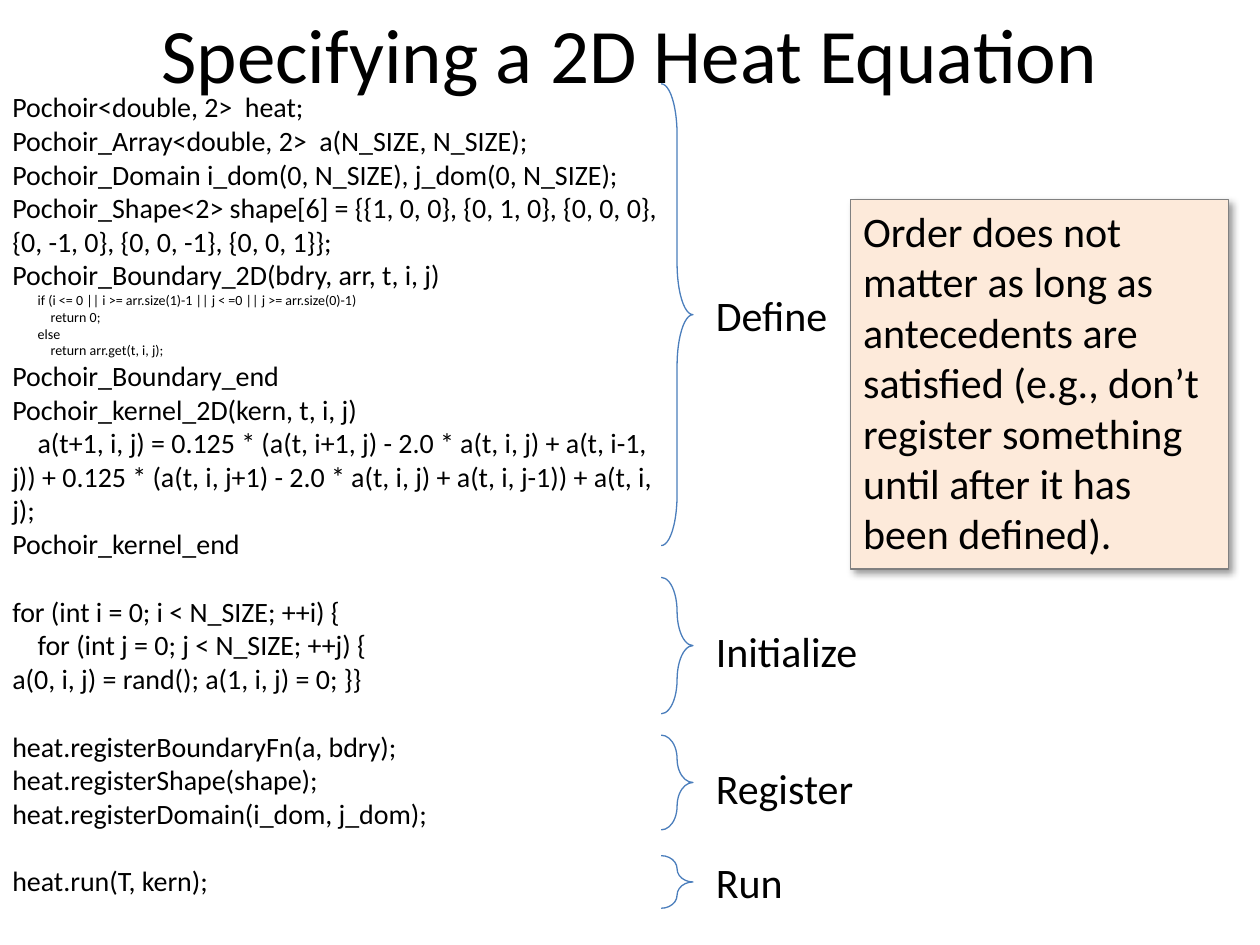
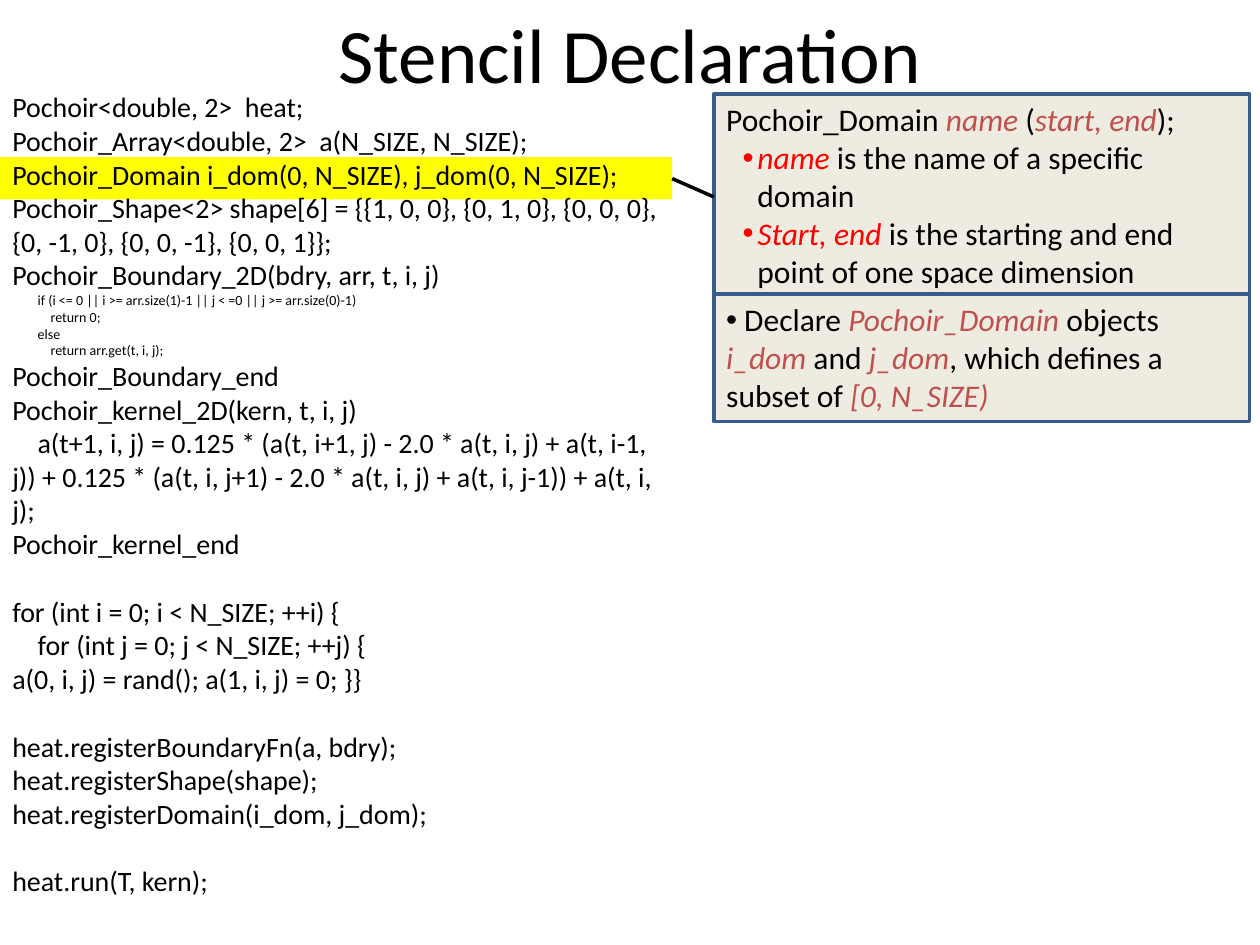
from lxml.etree import SubElement
from pptx import Presentation
from pptx.dml.color import RGBColor
from pptx.enum.shapes import MSO_CONNECTOR, MSO_SHAPE
from pptx.enum.text import MSO_ANCHOR, MSO_AUTO_SIZE, PP_ALIGN
from pptx.oxml.ns import qn
from pptx.util import Cm, Pt

# Shared style
COLOURS = {
    "text": "000000", "brace": "4B7EBC", "note": "FDEADA", "note line": "808080",
    "highlight": "FFFF00", "panel": "EEECE1", "panel line": "385D8A",
    "term": "C0504D", "key": "FF0000",
}
FONT = "Calibri"
FRAME = {"word_wrap": True, "auto_size": MSO_AUTO_SIZE.SHAPE_TO_FIT_TEXT,
         "vertical_anchor": MSO_ANCHOR.TOP}
LINE_16 = Pt(19.5)  # height of one 16 point line

# Code listing: text, size, left margin, first-line indent (cm), gap before
CODE = [
    ("Pochoir<double, 2>  heat;", 16, 0, 0, 0),
    ("Pochoir_Array<double, 2>  a(N_SIZE, N_SIZE);", 16, 0, 0, 0),
    ("Pochoir_Domain i_dom(0, N_SIZE), j_dom(0, N_SIZE);", 16, 0, 0, 0),
    ("Pochoir_Shape<2> shape[6] = {{1, 0, 0}, {0, 1, 0}, {0, 0, 0}, "
     "{0, -1, 0}, {0, 0, -1}, {0, 0, 1}};", 16, 0, 0, 0),
    ("Pochoir_Boundary_2D(bdry, arr, t, i, j)", 16, 0, 0, 0),
    ("if (i <= 0 || i >= arr.size(1)-1 || j < =0 || j >= arr.size(0)-1)", 8, 0.51, 0, 0),
    ("return 0;", 8, 0.77, 0, 0),
    ("else", 8, 0.51, 0, 0),
    ("return arr.get(t, i, j);", 8, 0.77, 0, 0),
    ("Pochoir_Boundary_end", 16, 0, 0, 0),
    ("Pochoir_kernel_2D(kern, t, i, j)", 16, 0, 0, 0),
    ("a(t+1, i, j) = 0.125 * (a(t, i+1, j) - 2.0 * a(t, i, j) + a(t, i-1, j)) + "
     "0.125 * (a(t, i, j+1) - 2.0 * a(t, i, j) + a(t, i, j-1)) + a(t, i, j);",
     16, 0, 0.51, 0),
    ("Pochoir_kernel_end", 16, 0, 0, 0),
    ("for (int i = 0; i < N_SIZE; ++i) {", 16, 0, 0, LINE_16),
    ("for (int j = 0; j < N_SIZE; ++j) {", 16, 0.51, 0, 0),
    ("a(0, i, j) = rand(); a(1, i, j) = 0; }}", 16, 0, 0, 0),
    ("heat.registerBoundaryFn(a, bdry);", 16, 0, 0, LINE_16),
    ("heat.registerShape(shape);", 16, 0, 0, 0),
    ("heat.registerDomain(i_dom, j_dom);", 16, 0, 0, 0),
    ("heat.run(T, kern);", 16, 0, 0, LINE_16),
]


def write(shape, paragraphs):
    """Fill a shape with (runs, size, margin, indent, gap, bullet) paragraphs."""
    frame = shape.text_frame
    for name, value in FRAME.items():
        setattr(frame, name, value)
    for number, (runs, size, margin, indent, gap, bullet) in enumerate(paragraphs):
        paragraph = frame.add_paragraph() if number else frame.paragraphs[0]
        paragraph.alignment = PP_ALIGN.LEFT
        paragraph.space_before = gap
        properties = paragraph._p.get_or_add_pPr()
        properties.set("marL", str(Cm(margin)))
        properties.set("indent", str(Cm(indent)))
        if bullet:
            SubElement(properties, qn("a:buFont"), typeface="Arial")
            SubElement(properties, qn("a:buChar"), char="•")
        for text, colour in runs:
            run = paragraph.add_run()
            run.text = text
            run.font.color.rgb = RGBColor.from_string(COLOURS[colour])
            formats = {"name": FONT, "size": Pt(size), "italic": colour != "text"}
            for name, value in formats.items():
                setattr(run.font, name, value)


def add_box(slide, kind, place, fill=None, line=None, width=0.75):
    """Add a preset shape at place (cm) with plain fill and line."""
    shape = slide.shapes.add_shape(kind, *[Cm(length) for length in place])
    shape.shadow.inherit = False
    if fill:
        shape.fill.solid()
        shape.fill.fore_color.rgb = RGBColor.from_string(COLOURS[fill])
    else:
        shape.fill.background()
    if line:
        shape.line.color.rgb = RGBColor.from_string(COLOURS[line])
        shape.line.width = Pt(width)
    else:
        shape.line.fill.background()
    return shape


presentation = Presentation()
presentation.slide_width, presentation.slide_height = Cm(25.4), Cm(19.05)

# Both slides: title and code listing, the second with a highlighted line
slides = []
for heading, highlight in [("Specifying a 2D Heat Equation", None),
                           ("Stencil Declaration", (0, 3.17, 13.55, 0.85))]:
    slide = presentation.slides.add_slide(presentation.slide_layouts[5])
    slides.append(slide)
    title = slide.shapes.title
    title.left, title.top, title.width, title.height = Cm(1.27), 0, Cm(22.86), Cm(2.11)
    title.text = heading
    title.text_frame.vertical_anchor = MSO_ANCHOR.MIDDLE
    paragraph = title.text_frame.paragraphs[0]
    paragraph.alignment = PP_ALIGN.CENTER
    for name, value in {"name": FONT, "size": Pt(44)}.items():
        setattr(paragraph.font, name, value)
    paragraph.font.color.rgb = RGBColor.from_string(COLOURS["text"])
    if highlight:
        add_box(slide, MSO_SHAPE.RECTANGLE, highlight, "highlight")
    listing = slide.shapes.add_textbox(0, Cm(1.69), Cm(13.76), Cm(16.67))
    write(listing, [([(text, "text")], *layout, False) for text, *layout in CODE])

overview, declaration = slides

# Overview: braces naming the phases (brace top and height, label top)
for label, top, height, label_top in [
    ("Define", 1.69, 9.31, 5.72),
    ("Initialize", 11.64, 2.75, 12.48),
    ("Register", 14.82, 1.91, 15.24),
    ("Run", 17.25, 1.06, 17.15),
]:
    brace = add_box(overview, MSO_SHAPE.RIGHT_BRACE, (13.33, top, 0.64, height), None, "brace")
    brace.adjustments[0] = 1.61
    caption = overview.shapes.add_textbox(Cm(14.18), Cm(label_top), Cm(5.29), Cm(1.27))
    write(caption, [([(label, "text")], 24, 0, 0, 0, False)])

# Overview: note with a soft shadow
note = add_box(overview, MSO_SHAPE.RECTANGLE, (17.15, 4.02, 7.62, 7.45), "note", "note line")
effects = note._element.spPr.find(qn("a:effectLst"))
shadow = SubElement(effects, qn("a:outerShdw"), blurRad=str(Pt(4)), dist=str(Pt(3)),
                    dir="2700000", algn="tl", rotWithShape="0")
shadow_colour = SubElement(shadow, qn("a:srgbClr"), val=COLOURS["text"])
SubElement(shadow_colour, qn("a:alpha"), val="40000")
write(note, [([("Order does not matter as long as antecedents are satisfied (e.g., don’t "
                "register something until after it has been defined).", "text")],
              24, 0, 0, 0, False)])

# Declaration: syntax panel and example panel
syntax = [
    ([("Pochoir_Domain ", "text"), ("name", "term"), (" (", "text"),
      ("start, end", "term"), (");", "text")], 18, 0, 0, 0, False),
    ([("name ", "key"), ("is the name of a specific domain", "text")],
     18, 0.63, -0.3, 0, True),
    ([("Start, end ", "key"),
      ("is the starting and end point of one space dimension", "text")],
     18, 0.63, -0.3, 0, True),
]
example = [
    ([(" Declare ", "text"), ("Pochoir_Domain", "term"), (" objects ", "text"),
      ("i_dom", "term"), (" and ", "text"), ("j_dom", "term"),
      (", which defines a subset of ", "text"), ("[0, N_SIZE)", "term")],
     18, 0, 0, 0, True),
]
for top, height, paragraphs in [(1.9, 4.11, syntax), (5.93, 2.57, example)]:
    panel = add_box(declaration, MSO_SHAPE.RECTANGLE, (14.39, top, 10.8, height),
                    "panel", "panel line", 2)
    write(panel, paragraphs)

# Declaration: line from the highlighted code to its panel
pointer = declaration.shapes.add_connector(
    MSO_CONNECTOR.STRAIGHT, Cm(13.55), Cm(3.6), Cm(14.39), Cm(3.97))
pointer.line.color.rgb = RGBColor.from_string(COLOURS["text"])
pointer.line.width = Pt(2)
SubElement(pointer._element.spPr, qn("a:effectLst"))

presentation.save("out.pptx")
